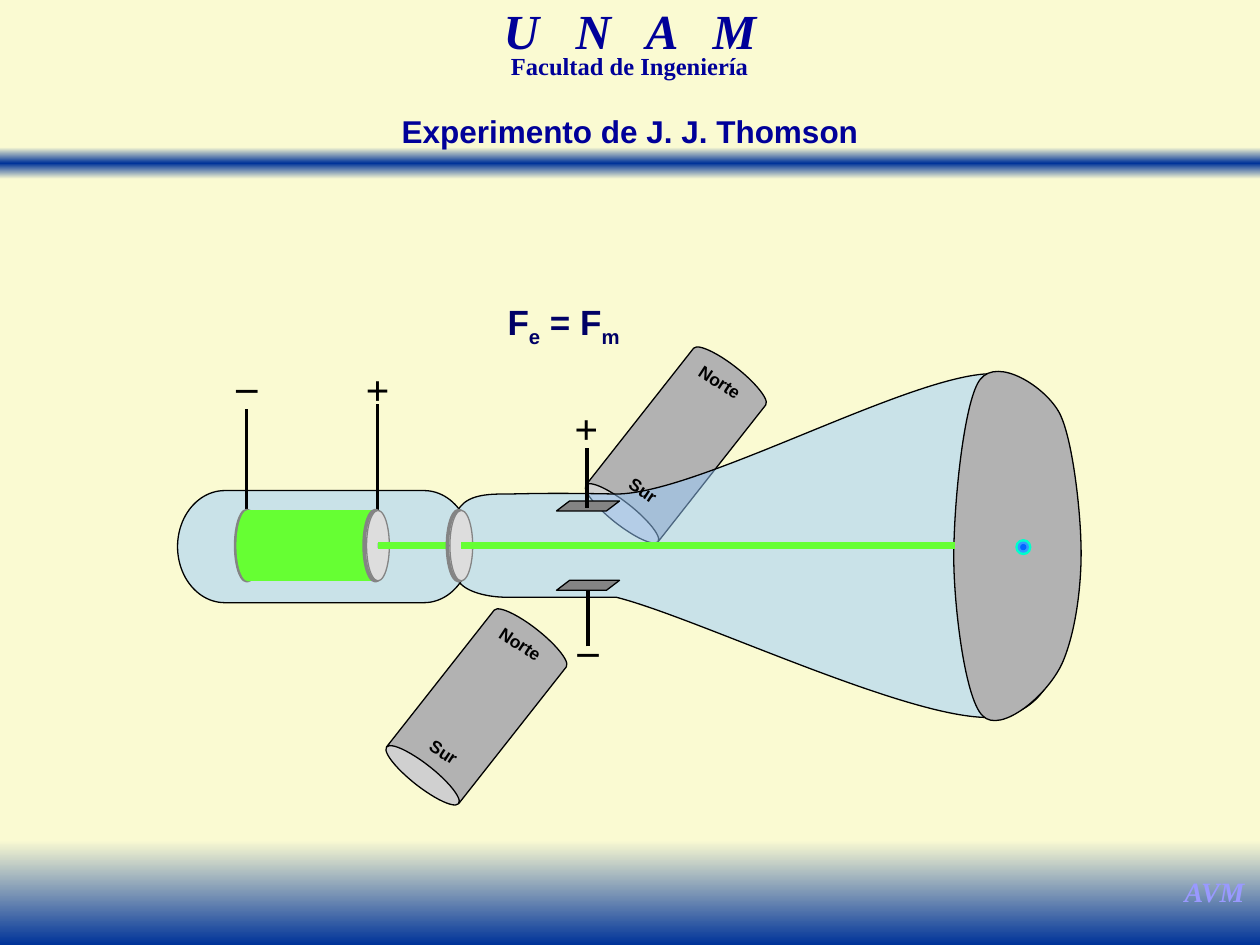
from lxml.etree import SubElement
from pptx import Presentation
from pptx.dml.color import RGBColor
from pptx.enum.shapes import MSO_CONNECTOR, MSO_SHAPE
from pptx.enum.text import MSO_ANCHOR, MSO_AUTO_SIZE, PP_ALIGN
from pptx.oxml.ns import qn
from pptx.util import Cm, Pt

CREAM, BLUE, NAVY, INK = "FAFAD2", "003399", "000099", "000066"
BLACK, STEEL, SILVER, GRAY = "000000", "B2B2B2", "DDDDDD", "848484"
GREEN, GLASS = "66FF33", "99CCFF"
SERIF, SANS = "Times New Roman", "Arial"

BULB = [
    ((9.37, 10.01), (9.73, 9.96), (10.13, 9.96)),
    ((10.52, 9.96), (10.92, 9.93), (12.42, 9.96)),
    ((14.12, 9.96), (18.62, 7.39), (20.14, 7.54)),
    ((21.67, 7.67), (21.56, 9.65), (21.56, 10.8)),
    ((21.56, 11.96), (21.67, 14.25), (20.14, 14.45)),
    ((18.62, 14.66), (14.07, 12.45), (12.42, 12.04)),
    ((10.97, 12.04), (10.46, 12.04), (10.19, 12.04)),
    ((9.91, 12.04), (9.37, 11.96), (9.22, 11.68)),
]
SCREEN = [
    ((19.25, 9.88), (19.46, 8.03), (19.76, 7.65)),
    ((20.12, 7.19), (21.08, 7.8), (21.36, 8.33)),
    ((21.62, 8.84), (21.77, 10.21), (21.79, 10.9)),
    ((21.82, 11.61), (21.72, 12.62), (21.44, 13.31)),
    ((21.16, 14), (20.17, 14.81), (19.81, 14.43)),
    ((19.43, 14.07), (19.2, 11.96), (19.23, 11.05)),
]


def color(hex_string):
    return RGBColor.from_string(hex_string)


class Drawing:
    """Draws styled elements on the current slide."""

    def __init__(self, slide):
        self.slide = slide
        self.shapes = slide.shapes
        background = slide.background.fill
        background.solid()
        background.fore_color.rgb = color(CREAM)

    def paint(self, shape, fill, line, width=0.75, alpha=None):
        shape.shadow.inherit = False
        shape.fill.solid()
        shape.fill.fore_color.rgb = color(fill)
        if alpha:
            tint = shape.element.spPr.find(qn("a:solidFill")).find(qn("a:srgbClr"))
            SubElement(tint, qn("a:alpha")).set("val", str(alpha * 1000))
        shape.line.color.rgb = color(line)
        shape.line.width = Pt(width)

    def shape(self, kind, box, fill, line=BLACK, width=0.75, alpha=None, rotation=0, adjust=None):
        shape = self.shapes.add_shape(kind, *map(Cm, box))
        self.paint(shape, fill, line, width, alpha)
        shape.rotation = rotation
        if adjust:
            shape.adjustments[0] = adjust

    def gradient(self, box, colors):
        shape = self.shapes.add_shape(MSO_SHAPE.RECTANGLE, *map(Cm, box))
        shape.shadow.inherit = False
        shape.line.fill.background()
        shape.fill.gradient()
        shape.fill.gradient_angle = 270
        stops = shape.element.spPr.find(qn("a:gradFill")).find(qn("a:gsLst"))
        stops.clear()
        for index, value in enumerate(colors):
            stop = SubElement(stops, qn("a:gs"))
            stop.set("pos", str(100000 * index // (len(colors) - 1)))
            SubElement(stop, qn("a:srgbClr")).set("val", value)

    def outline(self, start, curves, fill, alpha=None):
        builder = self.shapes.build_freeform(*map(Cm, start))
        points = [tuple(map(Cm, point)) for curve in curves for point in curve]
        builder.add_line_segments(points, close=True)
        shape = builder.convert_to_shape()
        segments = list(shape.element.iter(qn("a:lnTo")))
        for index in range(0, 3 * len(curves), 3):
            trio = segments[index:index + 3]
            curve = SubElement(trio[0].getparent(), qn("a:cubicBezTo"))
            trio[0].addprevious(curve)
            for segment in trio:
                curve.append(segment[0])
                segment.getparent().remove(segment)
        self.paint(shape, fill, BLACK, alpha=alpha)

    def line(self, start, end, tint=BLACK, width=2):
        line = self.shapes.add_connector(MSO_CONNECTOR.STRAIGHT, *map(Cm, start + end))
        line.line.color.rgb = color(tint)
        line.line.width = Pt(width)
        SubElement(line.element.spPr, qn("a:effectLst"))

    def style(self, para, font, size, tint, italic=False):
        para.alignment = PP_ALIGN.CENTER
        for span in para.runs:
            span.font.name, span.font.size = font, Pt(size)
            span.font.bold, span.font.italic = True, italic
            span.font.color.rgb = color(tint)

    def text(self, box, spans, font, size, tint=BLACK, italic=False, rotation=0,
             wrap=False, spacing=None):
        text_box = self.shapes.add_textbox(*map(Cm, box))
        text_box.rotation = rotation
        frame = text_box.text_frame
        frame.word_wrap = wrap
        frame.auto_size = MSO_AUTO_SIZE.SHAPE_TO_FIT_TEXT
        para = frame.paragraphs[0]
        for words, attributes in spans:
            span = para.add_run()
            span.text = words
            for name, value in attributes.items():
                span.font._element.set(name, value)
        if spacing:
            para.line_spacing = spacing
        self.style(para, font, size, tint, italic)

    def title(self, box, words):
        title = self.shapes.title
        title.left, title.top, title.width, title.height = map(Cm, box)
        frame = title.text_frame
        frame.text = words
        frame.auto_size = MSO_AUTO_SIZE.NONE
        frame.vertical_anchor = MSO_ANCHOR.TOP
        self.style(frame.paragraphs[0], SANS, 18, NAVY)
        title.element.getparent().append(title.element)

    def magnet(self, left, top):
        self.shape(MSO_SHAPE.CAN, (left, top, 1.85, 3.96), STEEL, rotation=218.2, adjust=0.244)

    def poles(self, left, top):
        for words, right, down, width in (("Norte", 1.1, 0.37, 1.42), ("Sur", -0.28, 2.55, 1.09)):
            self.text((left + right, top + down, width, 0.69), [(words, {})], SANS, 10,
                      rotation=33.2)

    def disc(self, left, fill=SILVER, line=GRAY, width=0.75):
        self.shape(MSO_SHAPE.OVAL, (left, 10.29, 0.46, 1.42), fill, line, width)

    def anode(self, left):
        self.disc(left, width=2)
        self.disc(left + 0.05)
        self.shape(MSO_SHAPE.RECTANGLE, (left + 0.28, 10.95, 0.05, 0.1), INK, width=0.5)

    def plate(self, top):
        self.shape(MSO_SHAPE.PARALLELOGRAM, (11.22, top, 1.27, 0.2), GRAY, adjust=1.312)

    def sign(self, words, left, top):
        self.text((left, top, 0.97, 1.27), [(words, {})], SERIF, 24)


def main():
    deck = Presentation()
    deck.slide_width, deck.slide_height = Cm(25.4), Cm(19.05)
    page = Drawing(deck.slides.add_slide(deck.slide_layouts[5]))

    page.gradient((0, 2.97, 25.4, 0.64), [CREAM, BLUE, CREAM])
    page.text((7.72, 0.2, 9.96, 1.09), [("U N A ", {"spc": "700"}), ("M", {})], SERIF, 28, NAVY,
              italic=True, wrap=True, spacing=0.7)
    page.text((8.15, 1.07, 9.09, 0.66), [("Facultad de Ingeniería", {})], SERIF, 14, NAVY,
              wrap=True, spacing=0.7)
    page.gradient((0, 16.94, 25.4, 2.11), [CREAM, BLUE])
    page.text((23.61, 17.5, 1.75, 0.94), [("AVM", {})], SERIF, 16, "9999FF", italic=True)

    magnets = [(12.7, 6.99), (8.68, 12.27)]
    page.magnet(*magnets[0])
    page.outline((9.22, 10.31), BULB, GLASS, alpha=50)
    page.shape(MSO_SHAPE.FLOWCHART_TERMINATOR, (3.58, 9.89, 5.92, 2.26), GLASS, alpha=50)

    page.line((4.97, 10.31), (4.97, 8.24))
    page.line((7.61, 10.31), (7.61, 8.15))
    page.disc(4.75, width=2)
    page.disc(4.78, GREEN, GREEN)
    page.shape(MSO_SHAPE.RECTANGLE, (5.05, 10.29, 2.49, 1.42), GREEN, GREEN)
    page.anode(7.34)
    page.line((9.45, 11), (7.62, 11), GREEN, 4)
    page.anode(9.02)

    page.plate(10.1)
    page.line((11.83, 10.24), (11.83, 9.03))
    page.line((11.85, 13.03), (11.85, 11.84))
    page.plate(11.7)

    page.outline((19.23, 11.05), SCREEN, STEEL)
    page.magnet(*magnets[1])
    for corner in magnets:
        page.poles(*corner)
    for size, tint in ((0.3, "00FFCC"), (0.2, "3399FF"), (0.1, "0066FF")):
        page.shape(MSO_SHAPE.OVAL, (20.63 - size / 2, 11.03 - size / 2, size, size), tint, tint)

    for sign in (("+", 7.12, 7.21), ("_", 4.49, 6.85), ("+", 11.33, 7.99), ("_", 11.37, 12.17)):
        page.sign(*sign)
    below = {"baseline": "-25000"}
    page.text((9.91, 5.94, 3.02, 1.09), [("F", {}), ("e", below), (" = F", {}), ("m ", below)],
              SANS, 20, INK)
    page.line((19.25, 11), (9.29, 11), GREEN, 4)
    page.title((7.2, 2.13, 11, 1.02), "Experimento de J. J. Thomson")
    deck.save("out.pptx")


if __name__ == "__main__":
    main()
